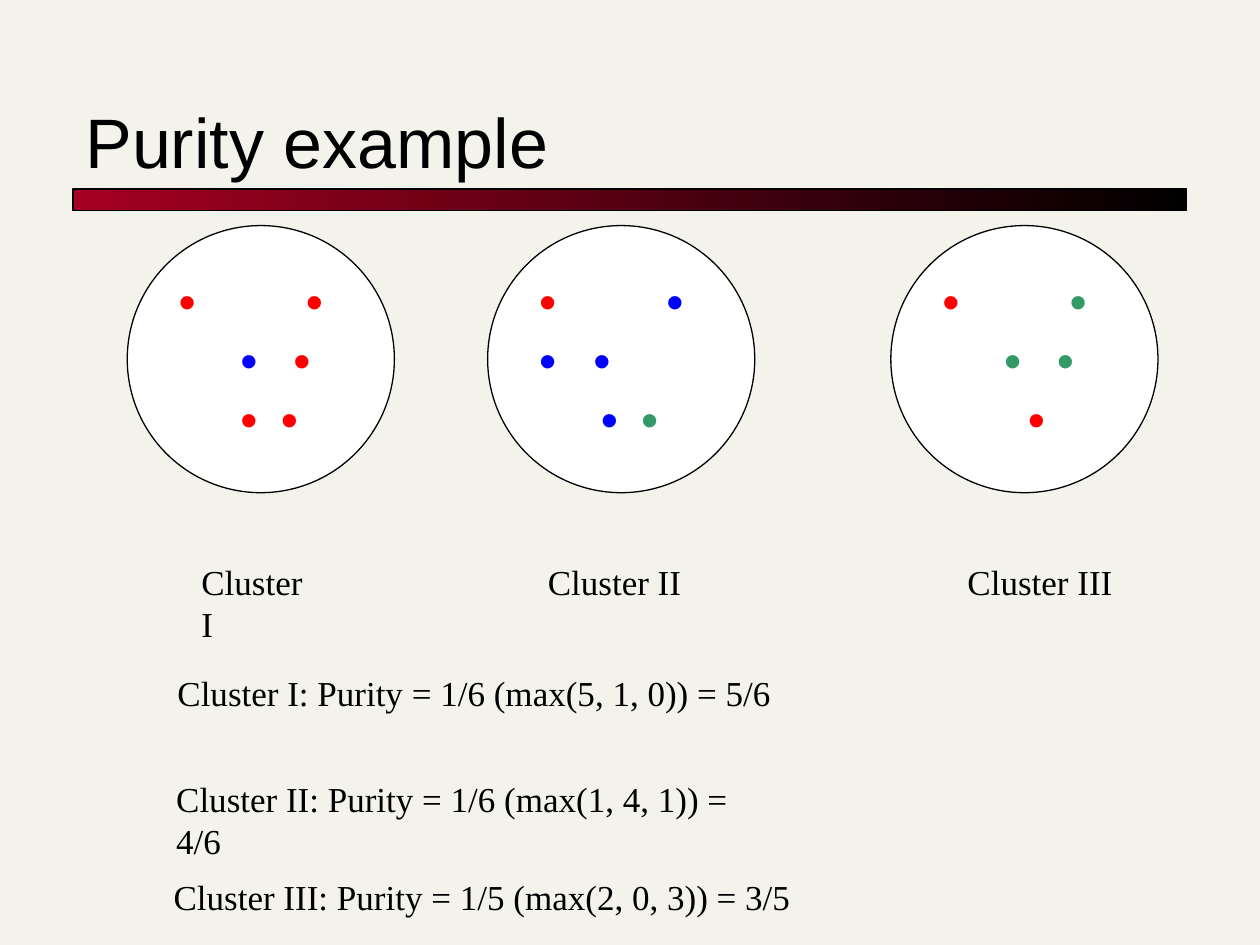
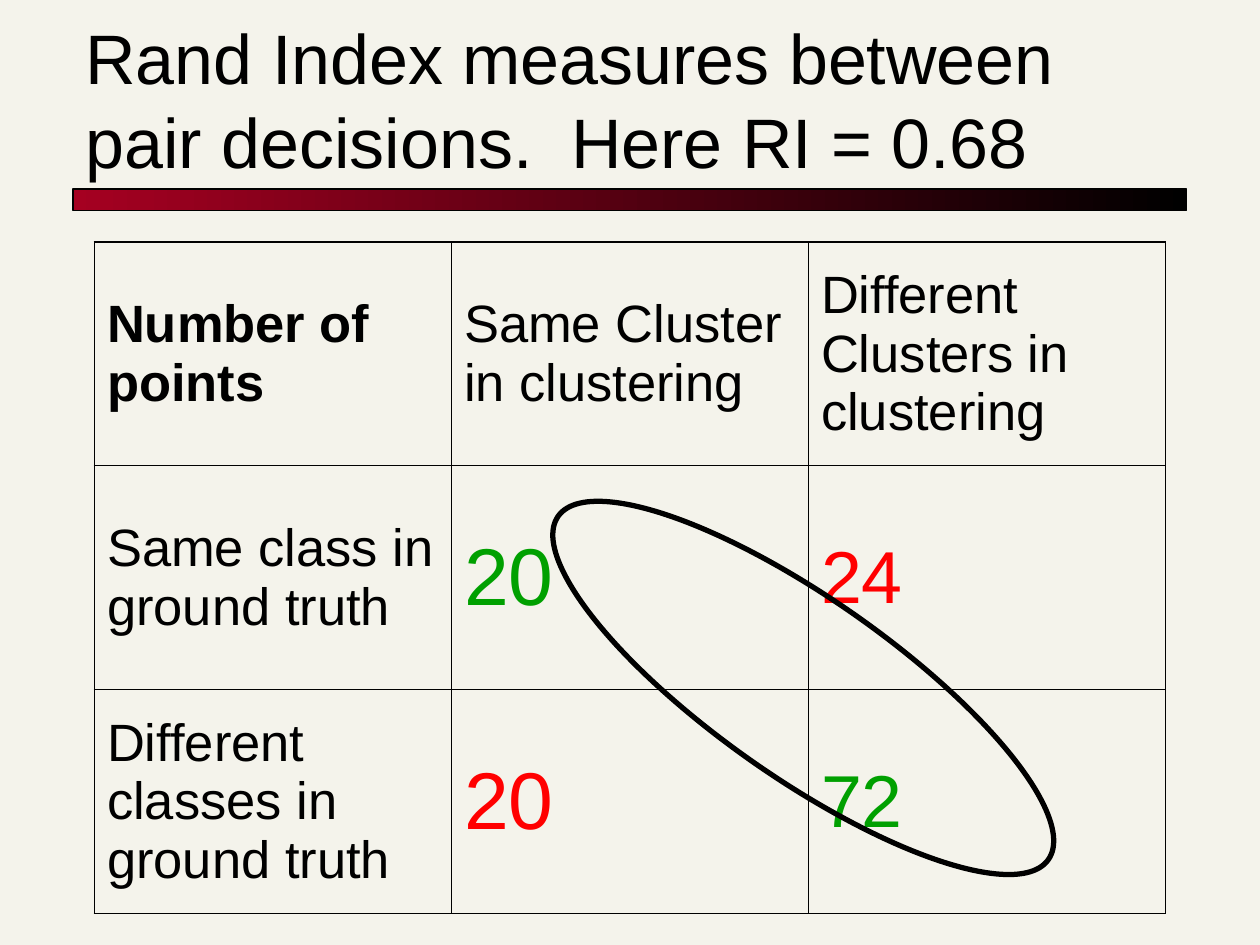
from dataclasses import dataclass
from typing import NamedTuple

from lxml.etree import SubElement as Sub
from pptx import Presentation
from pptx.dml.color import RGBColor as Rgb
from pptx.enum.shapes import MSO_SHAPE as Kind
from pptx.enum.text import MSO_ANCHOR as Anchor, PP_ALIGN as Align
from pptx.oxml.ns import qn
from pptx.util import Inches, Pt


@dataclass(frozen=True)
class Theme:
    page: Rgb = Rgb(0xF4, 0xF3, 0xEB)
    ink: Rgb = Rgb(0, 0, 0)
    white: Rgb = Rgb(255, 255, 255)
    wine: Rgb = Rgb(0xA5, 0x00, 0x21)
    red: Rgb = Rgb(255, 0, 0)
    blue: Rgb = Rgb(0, 0, 255)
    teal: Rgb = Rgb(0x33, 0x99, 0x66)
    green: Rgb = Rgb(0x00, 0xA0, 0x00)
    sans: str = "Arial"
    serif: str = "Times New Roman"
    title: float = 40
    label: float = 20
    dot: float = 28
    head: float = 30
    count: float = 42
    large: float = 46
    thin: float = 0.45
    edge: float = 1.08
    line: float = 0.75
    ring: float = 3


T = Theme()


class Box(NamedTuple):
    x: float
    y: float
    w: float
    h: float

    def emu(self) -> list:
        return [Inches(v) for v in self]


class Dot(NamedTuple):
    x: float
    color: Rgb


class Cluster(NamedTuple):
    x: float
    rows: list


class Label(NamedTuple):
    text: str
    box: Box
    wrap: bool = True


class Cell(NamedTuple):
    text: str
    size: float = T.head
    color: Rgb = T.ink
    bold: bool = False


def add_run(para, text: str, size: float, font: str, color: Rgb = T.ink,
            bold: bool = False) -> None:
    run = para.add_run()
    run.text = text
    run.font.size = Pt(size)
    run.font.name = font
    run.font.bold = bold
    run.font.color.rgb = color


def add_text(slide, label: Label, size: float, font: str,
             anchor: Anchor = Anchor.TOP) -> None:
    frame = slide.shapes.add_textbox(*label.box.emu()).text_frame
    frame.word_wrap = label.wrap
    frame.vertical_anchor = anchor
    add_run(frame.paragraphs[0], label.text, size, font)


def add_form(slide, kind: Kind, box: Box, width: float):
    form = slide.shapes.add_shape(kind, *box.emu())
    form.shadow.inherit = False
    form.line.color.rgb = T.ink
    form.line.width = Pt(width)
    return form


def new_slide(deck, title: str):
    """Start a slide with the shared page colour, band and title."""
    slide = deck.slides.add_slide(deck.slide_layouts[6])
    back = slide.background.fill
    back.solid()
    back.fore_color.rgb = T.page
    fill = add_form(slide, Kind.RECTANGLE, Box(0.58, 1.5, 8.84, 0.17), T.line).fill
    fill.gradient()
    fill.gradient_angle = 0
    for stop, color in zip(fill.gradient_stops, (T.wine, T.ink)):
        stop.color.rgb = color
    add_text(slide, Label(title, Box(0.58, 0.42, 8.83, 1.08)), T.title, T.sans,
             Anchor.BOTTOM)
    return slide


def add_dots(para, row: list) -> None:
    """Place each dot of a row at its own tab stop."""
    para.alignment = Align.LEFT
    tabs = Sub(para._p.get_or_add_pPr(), qn("a:tabLst"))
    for dot in row:
        if dot.x:
            Sub(tabs, qn("a:tab"), pos=str(Inches(dot.x)), algn="l")
        add_run(para, "\t•" if dot.x else "•", T.dot, T.sans, dot.color)


def add_cluster(slide, group: Cluster) -> None:
    disc = add_form(slide, Kind.OVAL, Box(group.x, 1.79, 2.12, 2.12), T.line)
    disc.fill.solid()
    disc.fill.fore_color.rgb = T.white
    frame = disc.text_frame
    frame.word_wrap = True
    frame.vertical_anchor = Anchor.TOP
    for i, row in enumerate(group.rows):
        para = frame.add_paragraph() if i else frame.paragraphs[0]
        add_dots(para, row)


def set_sides(cell, widths: dict) -> None:
    props = cell._tc.get_or_add_tcPr()
    for i, (side, width) in enumerate(widths.items()):
        line = props.makeelement(qn(f"a:ln{side}"), {"w": str(Pt(width))})
        fill = Sub(line, qn("a:solidFill"))
        Sub(fill, qn("a:srgbClr"), val=str(T.ink))
        props.insert(i, line)


def add_grid(slide, box: Box, rows: list) -> None:
    high, wide = len(rows), len(rows[0])
    table = slide.shapes.add_table(high, wide, *box.emu()).table
    for r, row in enumerate(rows):
        table.rows[r].height = Inches(box.h / high)
        for c, item in enumerate(row):
            cell = table.cell(r, c)
            cell.fill.background()
            cell.vertical_anchor = Anchor.MIDDLE
            add_run(cell.text_frame.paragraphs[0], item.text, item.size, T.sans,
                    item.color, item.bold)
            outer = {"L": c == 0, "R": c == wide - 1, "T": r == 0, "B": r == high - 1}
            set_sides(cell, {side: T.edge if out else T.thin
                             for side, out in outer.items()})


CLUSTERS = [
    Cluster(1.01, [[Dot(0, T.red), Dot(1.01, T.red)],
                   [Dot(0.49, T.blue), Dot(0.91, T.red)],
                   [Dot(0.49, T.red), Dot(0.81, T.red)]]),
    Cluster(3.87, [[Dot(0, T.red), Dot(1.01, T.blue)],
                   [Dot(0, T.blue), Dot(0.43, T.blue)],
                   [Dot(0.49, T.blue), Dot(0.81, T.teal)]]),
    Cluster(7.07, [[Dot(0, T.red), Dot(1.01, T.teal)],
                   [Dot(0.49, T.teal), Dot(0.91, T.teal)],
                   [Dot(0.68, T.red)]]),
]

LABELS = [
    Label("Cluster I", Box(1.5, 4.4, 1.16, 0.44)),
    Label("Cluster II", Box(4.25, 4.4, 1.46, 0.44)),
    Label("Cluster III", Box(7.58, 4.4, 1.38, 0.44)),
    Label("Cluster I: Purity = 1/6 (max(5, 1, 0)) = 5/6", Box(1.31, 5.28, 5.27, 0.44)),
    Label("Cluster II: Purity = 1/6 (max(1, 4, 1)) = 4/6",
          Box(1.3, 6.12, 5, 0.44), False),
    Label("Cluster III: Purity = 1/5 (max(2, 0, 3)) = 3/5",
          Box(1.28, 6.9, 5.1, 0.44), False),
]

PAIRS = [
    [Cell("Number of points", bold=True), Cell("Same Cluster in clustering"),
     Cell("Different Clusters in clustering")],
    [Cell("Same class in ground truth"), Cell("20", T.large, T.green),
     Cell("24", T.count, T.red)],
    [Cell("Different classes in ground truth"), Cell("20", T.large, T.red),
     Cell("72", T.count, T.green)],
]


def draw_purity(deck) -> None:
    slide = new_slide(deck, "Purity example")
    for group in CLUSTERS:
        add_cluster(slide, group)
    for label in LABELS:
        add_text(slide, label, T.label, T.serif)


def draw_rand(deck) -> None:
    slide = new_slide(
        deck, "Rand Index measures between pair decisions.  Here RI = 0.68")
    add_grid(slide, Box(0.75, 1.92, 8.5, 5.33), PAIRS)
    ring = add_form(slide, Kind.OVAL, Box(4, 4.75, 4.75, 1.42), T.ring)
    ring.fill.background()
    ring.rotation = 35


def main() -> None:
    deck = Presentation()
    deck.slide_width, deck.slide_height = Inches(10), Inches(7.5)
    draw_purity(deck)
    draw_rand(deck)
    deck.save("out.pptx")


if __name__ == "__main__":
    main()
